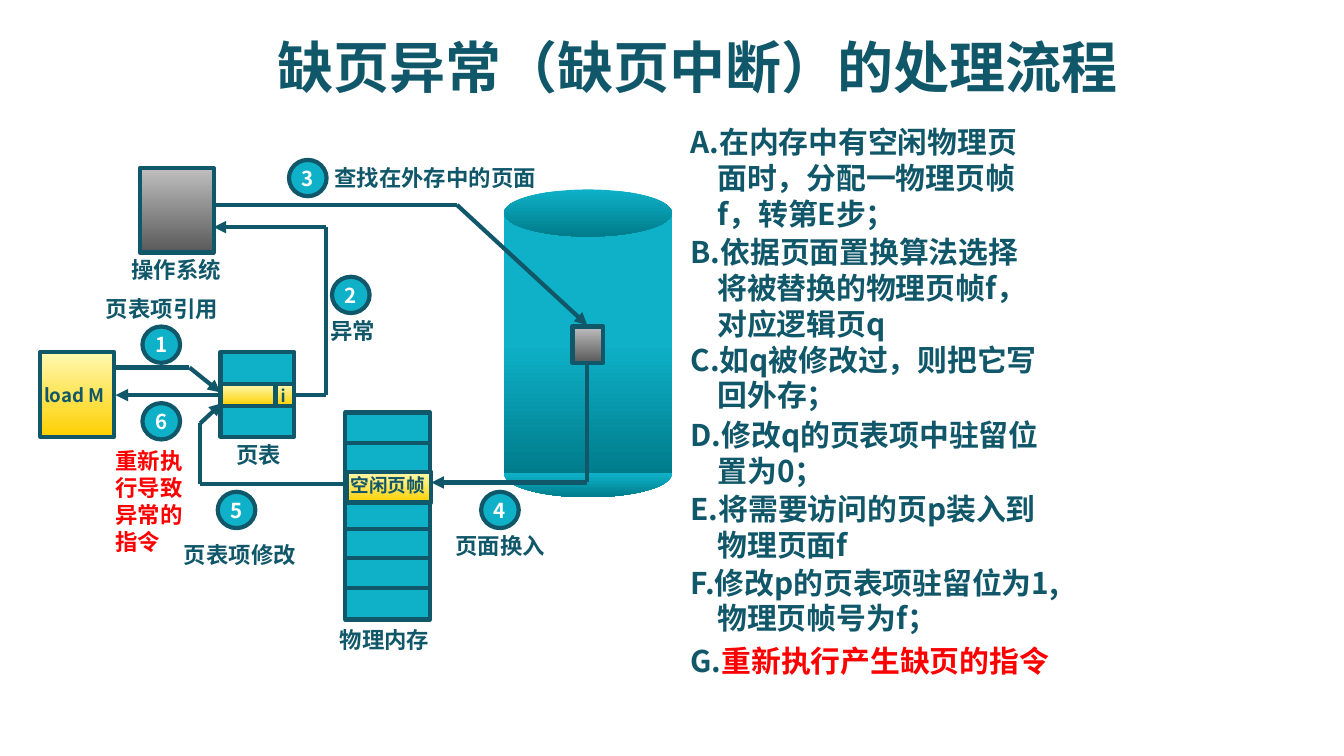
"""Build the slide that explains how a page fault is handled."""
from dataclasses import dataclass
from itertools import pairwise
from typing import Any, NamedTuple

from lxml import etree
from pptx import Presentation
from pptx.dml.color import RGBColor
from pptx.enum.shapes import MSO_CONNECTOR, MSO_SHAPE
from pptx.enum.text import MSO_ANCHOR, MSO_AUTO_SIZE, PP_ALIGN
from pptx.oxml.ns import qn
from pptx.util import Emu, Inches, Pt

RECT, OVAL = MSO_SHAPE.RECTANGLE, MSO_SHAPE.OVAL
STRAIGHT = MSO_CONNECTOR.STRAIGHT
MIDDLE, CENTER = MSO_ANCHOR.MIDDLE, PP_ALIGN.CENTER
GROW, FIXED = MSO_AUTO_SIZE.SHAPE_TO_FIT_TEXT, MSO_AUTO_SIZE.NONE
TITLE_ONLY = 5
CELL = Inches(0.1)
COLUMNS, ROWS = 100, 56.25


@dataclass(frozen=True)
class Theme:
    """Colours, fonts and sizes of the slide."""
    font: str = "Noto Sans CJK SC"
    ink: str = "11576A"
    teal: str = "0EB1C8"
    deep: str = "007C8B"
    red: str = "FF0000"
    white: str = "FFFFFF"
    yellow: tuple = ("FFF9B1", "FDD000")
    gray: tuple = ("BFBFBF", "595959")
    title: int = 30
    step: int = 16
    label: int = 12
    badge: int = 11
    small: int = 10
    tiny: int = 9
    stroke: float = 2.25


THEME = Theme()


class Area(NamedTuple):
    """Left, top, width and height in grid cells."""
    left: float
    top: float
    width: float
    height: float


class Block(NamedTuple):
    """A filled shape; a pair of colours makes a gradient."""
    area: Area
    fill: str | tuple
    outlined: bool = True
    kind: Any = RECT
    start: float = 0


class Wire(NamedTuple):
    """A chain of straight lines through grid points."""
    points: tuple
    arrow: bool = True


class Label(NamedTuple):
    """A short caption in the diagram."""
    text: str
    area: Area
    size: int = THEME.label
    color: str = THEME.ink


class Badge(NamedTuple):
    """A numbered circle."""
    number: int
    left: float
    top: float


class Step(NamedTuple):
    """One step of the procedure."""
    top: float
    width: float
    height: float
    runs: tuple
    lettered: bool = False


FAULT_TITLE = "缺页异常（缺页中断）的处理流程"
DISK = (
    Block(Area(37.5, 33.5, 12.5, 3.5), (THEME.teal, THEME.deep), False, OVAL, 0.5),
    Block(Area(37.5, 16, 12.5, 19.2), (THEME.teal, THEME.deep), False, RECT, 0.5),
    Block(Area(37.5, 14.1, 12.5, 3.5), (THEME.teal, THEME.deep), False, OVAL),
)
SIGNALS = (
    Wire(((16, 15.25), (34, 15.25), (43.7, 24.2))),
    Wire(((21.9, 29.4), (24.25, 29.4), (24.25, 16.9), (15.9, 16.9))),
    Wire(((8.6, 27.35), (14.1, 27.35), (16.4, 29.2))),
    Wire(((16.4, 29.4), (8.6, 29.4))),
    Wire(((25.7, 36), (14.9, 36), (14.9, 31.5), (16.5, 30))),
    Wire(((43.7, 27), (43.7, 35.9), (32.1, 35.9))),
)
PARTS = (
    Block(Area(42.6, 24.3, 2.3, 2.7), THEME.gray),
    Block(Area(10.4, 12.5, 5.5, 6.3), THEME.gray),
    Block(Area(3, 26.2, 5.5, 6.3), THEME.yellow),
    Block(Area(16.4, 26.2, 5.5, 6.3), THEME.teal),
    Block(Area(16.4, 28.6, 5.5, 1.6), THEME.yellow),
    Block(Area(25.7, 30.7, 6.3, 15.4), THEME.teal),
    Block(Area(25.8, 35.1, 6.3, 2.3), THEME.yellow),
)
FRAME_EDGES = (32.95, *(39.35 + 2.2 * row for row in range(3)))
DIVIDERS = (
    Wire(((20.5, 28.6), (20.5, 30.2)), False),
    *(Wire(((25.8, edge), (32.1, edge)), False) for edge in FRAME_EDGES),
)
BADGES = (
    Badge(1, 10.6, 24.3), Badge(2, 24.7, 20.6), Badge(3, 21.5, 11.9),
    Badge(4, 35.8, 36.6), Badge(5, 16.2, 36.6), Badge(6, 10.6, 30),
)
LABELS = (
    Label("查找在外存中的页面", Area(23.9, 11.7, 18.7, 3)),
    Label("页表项引用", Area(6.9, 21.5, 11, 3)),
    Label("异常", Area(23.6, 23.1, 6, 3)),
    Label("load M", Area(2.3, 28.1, 7, 2.7), THEME.small),
    Label("重新执行导致异常的指令", Area(7.6, 32.8, 7.9, 9.1), color=THEME.red),
    Label("i", Area(19.9, 28.2, 2.3, 2.5), THEME.tiny),
    Label("页表", Area(16.6, 32.3, 12, 3)),
    Label("页表项修改", Area(12.7, 39.8, 11, 3)),
    Label("页面换入", Area(32.9, 39.1, 10, 3)),
    Label("空闲页帧", Area(25.1, 34.8, 8.6, 2.7), THEME.small),
    Label("物理内存", Area(24.3, 46.1, 10.2, 3)),
    Label("操作系统", Area(8.8, 18.6, 10.2, 3)),
)
STEPS = (
    Step(8.7, 28, 9.1, (("在内存中有空闲物理页面时，分配一物理页帧f，转第E步；", THEME.ink),), True),
    Step(16.9, 28, 9.1, (("B.依据页面置换算法选择将被替换的物理页帧f，对应逻辑页q", THEME.ink),)),
    Step(24.9, 28.8, 6.4, (("C.如q被修改过，则把它写回外存；", THEME.ink),)),
    Step(30.5, 29.5, 6.4, (("D.修改q的页表项中驻留位置为0；", THEME.ink),)),
    Step(36, 28.8, 6.4, (("E.将需要访问的页p装入到物理页面f", THEME.ink),)),
    Step(41.5, 30.3, 6.4, (("F.修改p的页表项驻留位为1,物理页帧号为f；", THEME.ink),)),
    Step(47.3, 30.3, 3.7, (("G.", THEME.ink), ("重新执行产生缺页的指令", THEME.red))),
)


def cells(*counts: float) -> list[Emu]:
    """Turn grid counts into lengths."""
    return [Emu(round(count * CELL)) for count in counts]


def apply(target: Any, values: dict) -> None:
    """Set each named attribute on the target."""
    for name, value in values.items():
        setattr(target, name, value)


def write(paragraph: Any, text: str, size: int, color: str) -> None:
    """Add one bold run in the theme font."""
    run = paragraph.add_run()
    run.text = text
    apply(run.font, {"name": THEME.font, "size": Pt(size), "bold": True})
    run.font.color.rgb = RGBColor.from_string(color)
    etree.SubElement(run.font._element, qn("a:ea"), typeface=THEME.font)


def ink_line(line: Any) -> None:
    """Give a line the theme stroke."""
    line.color.rgb = RGBColor.from_string(THEME.ink)
    line.width = Pt(THEME.stroke)


def draw_block(shapes: Any, block: Block) -> Any:
    """Draw one shape with its fill and outline."""
    shape = shapes.add_shape(block.kind, *cells(*block.area))
    shape.shadow.inherit = False
    if isinstance(block.fill, tuple):
        shape.fill.gradient()
        shape.fill.gradient_angle = 270
        for stop, color, place in zip(shape.fill.gradient_stops, block.fill, (block.start, 1)):
            stop.color.rgb = RGBColor.from_string(color)
            stop.position = place
    else:
        shape.fill.solid()
        shape.fill.fore_color.rgb = RGBColor.from_string(block.fill)
    if block.outlined:
        ink_line(shape.line)
    else:
        shape.line.fill.background()
    return shape


def draw_wire(shapes: Any, wire: Wire) -> None:
    """Draw the lines of a wire, with an arrowhead at its end."""
    for start, end in pairwise(wire.points):
        segment = shapes.add_connector(STRAIGHT, *cells(*start, *end))
        ink_line(segment.line)
        properties = segment.element.spPr
        if wire.arrow and end == wire.points[-1]:
            etree.SubElement(properties.find(qn("a:ln")), qn("a:tailEnd"), type="triangle")
        etree.SubElement(properties, qn("a:effectLst"))


def draw_badge(shapes: Any, badge: Badge) -> None:
    """Draw a numbered circle."""
    area = Area(badge.left, badge.top, 2.8, 2.7)
    frame = draw_block(shapes, Block(area, THEME.teal, kind=OVAL)).text_frame
    apply(frame, {"word_wrap": False, "vertical_anchor": MIDDLE})
    frame.paragraphs[0].alignment = CENTER
    write(frame.paragraphs[0], str(badge.number), THEME.badge, THEME.white)


def add_paragraph_box(shapes: Any, area: Area) -> Any:
    """Add a wrapping text box and return its paragraph."""
    frame = shapes.add_textbox(*cells(*area)).text_frame
    apply(frame, {"word_wrap": True, "auto_size": GROW})
    return frame.paragraphs[0]


def draw_step(shapes: Any, step: Step) -> None:
    """Write one step with a hanging indent."""
    paragraph = add_paragraph_box(shapes, Area(50.4, step.top, step.width, step.height))
    properties = paragraph._p.get_or_add_pPr()
    indent = cells(2)[0]
    for name, value in {"marL": indent, "indent": -indent}.items():
        properties.set(name, str(value))
    if step.lettered:
        etree.SubElement(properties, qn("a:buAutoNum"), type="alphaUcPeriod")
    for text, color in step.runs:
        write(paragraph, text, THEME.step, color)


def draw_title(title: Any) -> None:
    """Place and format the title placeholder."""
    apply(title, dict(zip(Area._fields, cells(18.7, 2.3, 66.4, 5.8))))
    apply(title.text_frame, {"word_wrap": True, "auto_size": FIXED, "vertical_anchor": MIDDLE})
    paragraph = title.text_frame.paragraphs[0]
    apply(paragraph, {"alignment": CENTER, "line_spacing": 0.95, "space_before": Pt(0)})
    write(paragraph, FAULT_TITLE, THEME.title, THEME.ink)


def main() -> None:
    """Build and save the slide."""
    deck = Presentation()
    apply(deck, dict(zip(("slide_width", "slide_height"), cells(COLUMNS, ROWS))))
    shapes = deck.slides.add_slide(deck.slide_layouts[TITLE_ONLY]).shapes
    draw_title(shapes.title)
    layers = ((draw_block, DISK), (draw_wire, SIGNALS), (draw_block, PARTS),
              (draw_wire, DIVIDERS), (draw_badge, BADGES), (draw_step, STEPS))
    for draw, items in layers:
        for item in items:
            draw(shapes, item)
    for label in LABELS:
        write(add_paragraph_box(shapes, label.area), label.text, label.size, label.color)
    deck.save("out.pptx")


if __name__ == "__main__":
    main()
